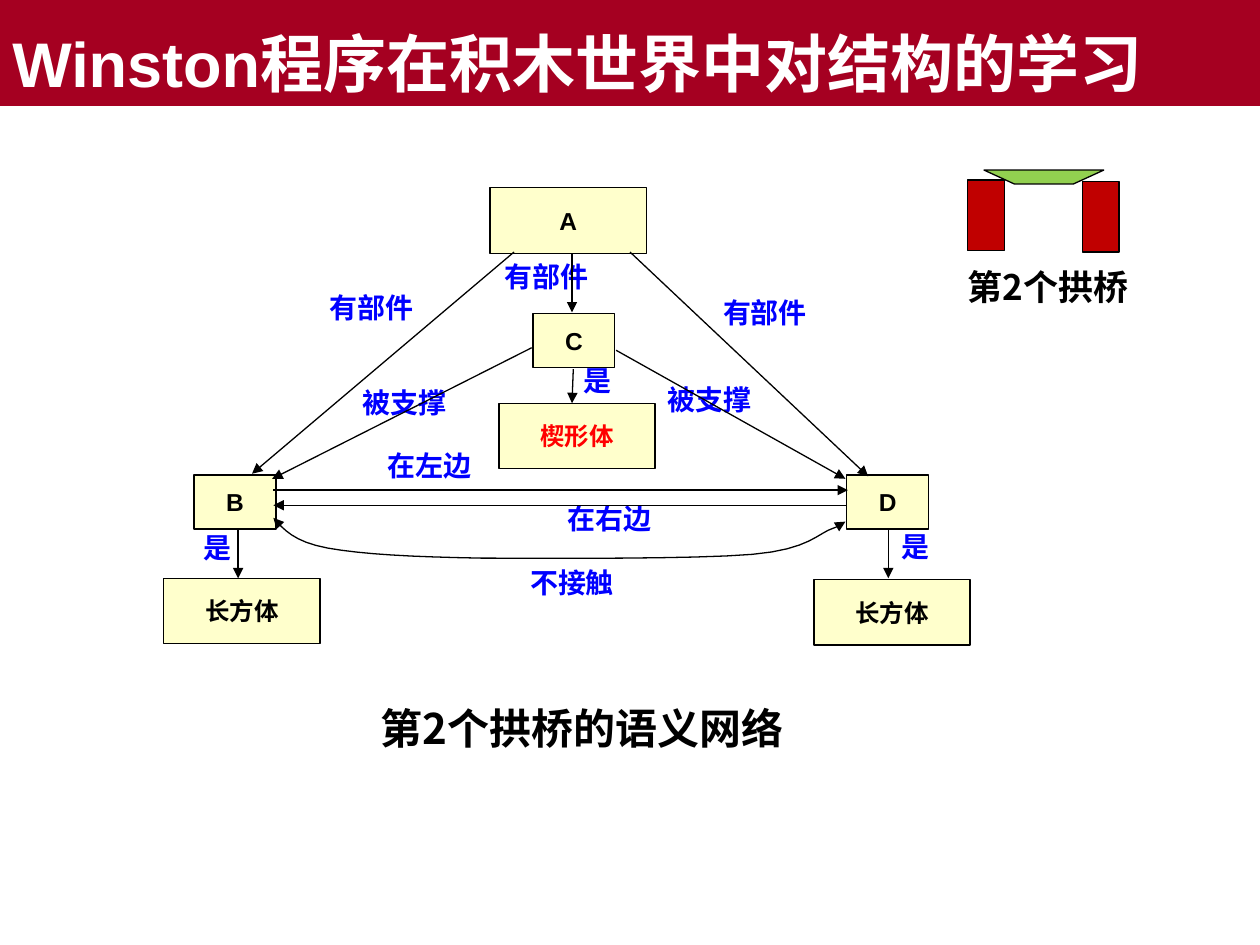
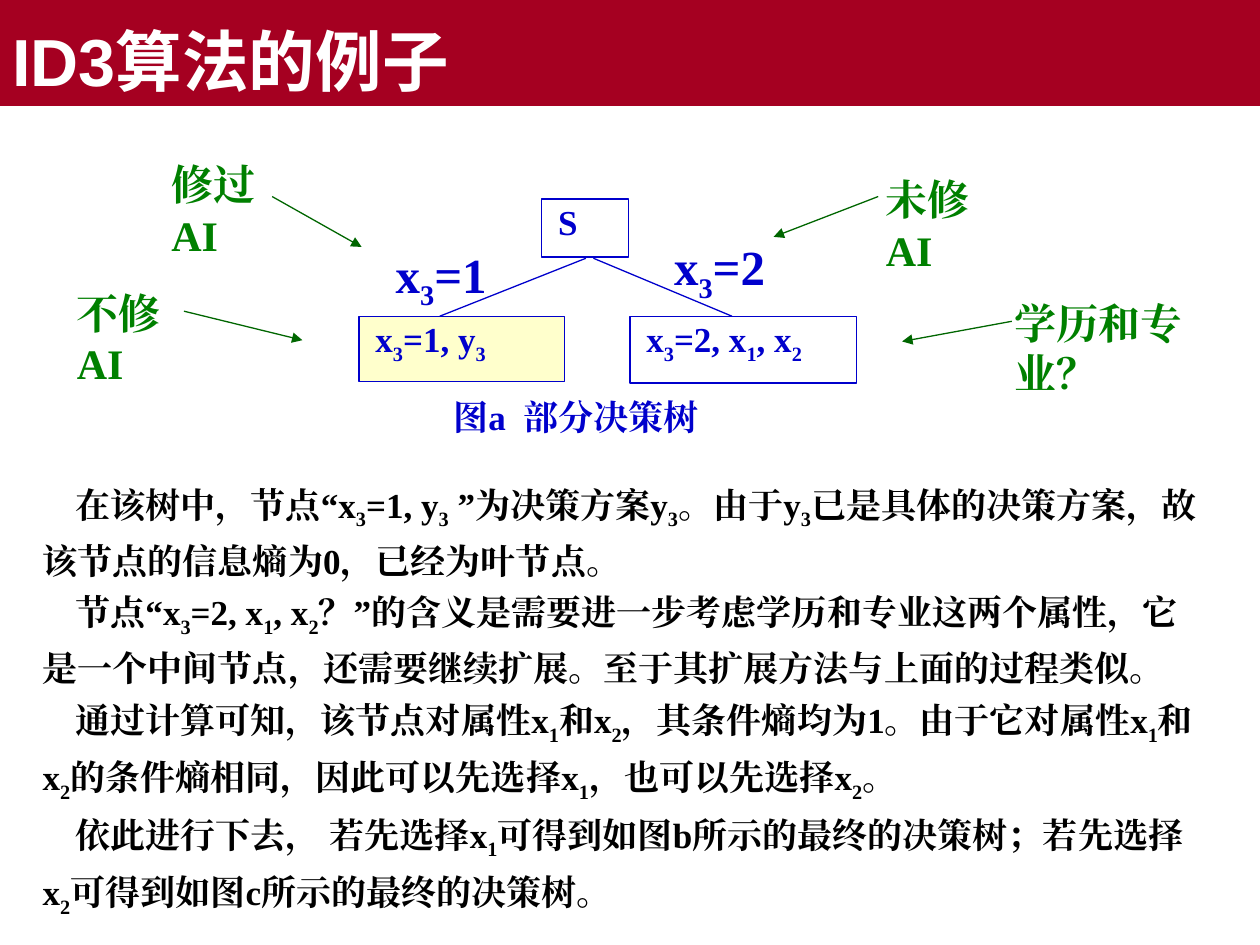
from lxml.etree import SubElement
from pptx import Presentation
from pptx.dml.color import RGBColor
from pptx.enum.shapes import MSO_CONNECTOR, MSO_SHAPE
from pptx.enum.text import MSO_ANCHOR, PP_ALIGN
from pptx.oxml.ns import qn
from pptx.util import Inches, Pt

BLACK = RGBColor(0, 0, 0)
WHITE = RGBColor(255, 255, 255)
CRIMSON = RGBColor(0xA5, 0x00, 0x21)
CREAM = RGBColor(0xFF, 0xFF, 0xCC)
RED = RGBColor(0xFF, 0, 0)
BRICK = RGBColor(0xC0, 0, 0)
LIME = RGBColor(0x92, 0xD0, 0x50)
BLUE = RGBColor(0, 0, 0xFF)
NAVY = RGBColor(0, 0, 0xCC)
GREEN = RGBColor(0, 0x80, 0)
DARK_GREEN = RGBColor(0, 0x66, 0)
SANS, SERIF, HAN = "Arial", "Times New Roman", "Noto Sans CJK SC"
LINE_WIDTH = Pt(0.75)


def outline(shape, color, ends=()):
    shape.line.color.rgb = color
    shape.line.width = LINE_WIDTH
    stroke = shape.line._get_or_add_ln()
    for end in ends:
        SubElement(stroke, qn("a:" + end)).set("type", "triangle")
    SubElement(shape._element.spPr, qn("a:effectLst"))


def add_box(page, place, text, font, size, color, fill=None, line=None, align=PP_ALIGN.LEFT,
            anchor=MSO_ANCHOR.TOP, inset=(0.1, 0.05)):
    box = page.shapes.add_shape(MSO_SHAPE.RECTANGLE, *map(Inches, place))
    box.shadow.inherit = False
    if fill is None:
        box.fill.background()
    else:
        box.fill.solid()
        box.fill.fore_color.rgb = fill
    if line is None:
        box.line.fill.background()
    else:
        box.line.color.rgb = line
        box.line.width = LINE_WIDTH
    frame = box.text_frame
    frame.word_wrap = True
    frame.vertical_anchor = anchor
    frame.margin_left = frame.margin_right = Inches(inset[0])
    frame.margin_top = frame.margin_bottom = Inches(inset[1])
    for index, content in enumerate(text.split("\n")):
        para = frame.add_paragraph() if index else frame.paragraphs[0]
        para.alignment = align
        plain, *marked = content.split("_")
        pieces = [(plain, False)]
        for part in marked:
            pieces += [(part[0], True), (part[1:], False)]
        for piece, lowered in pieces:
            if not piece:
                continue
            span = para.add_run()
            span.text = piece
            span.font.size = Pt(size)
            span.font.bold = True
            span.font.name = font
            span.font.color.rgb = color
            properties = span._r.get_or_add_rPr()
            SubElement(properties, qn("a:ea")).set("typeface", font)
            if lowered:
                properties.set("baseline", "-25000")
    return box


deck = Presentation()
deck.slide_width, deck.slide_height = Inches(10), Inches(7.5)
pages = []
for title, size in (("Winston程序在积木世界中对结构的学习", 36), ("ID3算法的例子", 38)):
    page = deck.slides.add_slide(deck.slide_layouts[6])
    add_box(page, (0, 0, 10, 0.84), title, SANS, size, WHITE, CRIMSON, anchor=MSO_ANCHOR.BOTTOM)
    pages.append(page)
arch_page, tree_page = pages

SMALL, LARGE = (0.65, 0.43), (1.24, 0.52)
for left, top, extent, name, color in (
    (3.89, 1.49, LARGE, "A", BLACK),
    (1.54, 3.77, SMALL, "B", BLACK),
    (4.23, 2.49, SMALL, "C", BLACK),
    (6.72, 3.77, SMALL, "D", BLACK),
    (1.3, 4.59, LARGE, "长方体", BLACK),
    (6.46, 4.6, LARGE, "长方体", BLACK),
    (3.96, 3.2, LARGE, "楔形体", RED),
):
    add_box(arch_page, (left, top, *extent), name, SANS, 14, color, CREAM, BLACK,
            PP_ALIGN.CENTER, MSO_ANCHOR.MIDDLE)

TO = ("tailEnd",)
links = [(arch_page, BLACK, TO, ends) for ends in (
    (4.08, 2, 2, 3.76), (5, 2, 6.89, 3.78), (4.54, 2.02, 4.54, 2.48),
    (2.17, 3.89, 6.73, 3.89), (6.72, 4.01, 2.17, 4.01),
    (4.22, 2.76, 2.16, 3.8), (4.89, 2.78, 6.71, 3.8),
    (4.55, 2.93, 4.54, 3.2), (1.89, 4.21, 1.89, 4.59), (7.05, 4.21, 7.05, 4.59),
)]
links += [(tree_page, NAVY, (), ends) for ends in (
    (4.65, 2.05, 3.49, 2.51), (4.71, 2.05, 5.81, 2.51),
)]
links += [(tree_page, DARK_GREEN, TO, ends) for ends in (
    (2.16, 1.56, 2.87, 1.96), (1.46, 2.47, 2.4, 2.7),
    (6.97, 1.56, 6.14, 1.88), (8.03, 2.55, 7.16, 2.71),
)]

curve = [(2.17, 4.11)]
for controls in (
    ((2.25, 4.2), (2.33, 4.3), (2.6, 4.35)),
    ((2.88, 4.4), (3.26, 4.42), (3.82, 4.43)),
    ((4.39, 4.43), (5.5, 4.44), (5.97, 4.4)),
    ((6.43, 4.36), (6.49, 4.23), (6.62, 4.19)),
    ((6.65, 4.18), (6.68, 4.16), (6.71, 4.14)),
):
    knots = (curve[-1], *controls)
    for step in range(1, 9):
        t = step / 8
        weights = ((1 - t) ** 3, 3 * t * (1 - t) ** 2, 3 * t * t * (1 - t), t ** 3)
        curve.append(tuple(sum(w * knot[axis] for w, knot in zip(weights, knots)) for axis in (0, 1)))
bridge_top = [(7.81, 1.35), (8.76, 1.35), (8.52, 1.46), (8.05, 1.46)]

for left, top in ((7.68, 1.43), (8.59, 1.44)):
    add_box(arch_page, (left, top, 0.29, 0.56), "", SANS, 14, BLACK, BRICK, BLACK)
for points, closed, ends in ((curve, False, ("headEnd", "tailEnd")), (bridge_top, True, ())):
    start, *rest = [(Inches(x), Inches(y)) for x, y in points]
    builder = arch_page.shapes.build_freeform(*start)
    builder.add_line_segments(rest, close=closed)
    shape = builder.convert_to_shape()
    if closed:
        shape.fill.solid()
        shape.fill.fore_color.rgb = LIME
    else:
        shape.fill.background()
    outline(shape, BLACK, ends)

for left, top, label in (
    (2.52, 2.26, "有部件"), (5.64, 2.3, "有部件"), (3.91, 2.01, "有部件"),
    (2.78, 3.01, "被支撑"), (5.2, 2.99, "被支撑"), (2.98, 3.51, "在左边"),
    (4.41, 3.93, "在右边"), (4.11, 4.44, "不接触"),
    (1.4, 4.16, "是"), (6.94, 4.15, "是"), (4.42, 2.84, "是"),
):
    width, align = (0.65, PP_ALIGN.CENTER) if label == "是" else (0.97, PP_ALIGN.LEFT)
    add_box(arch_page, (left, top, width, 0.37), label, SANS, 16, BLUE, align=align)
for place, caption, size in (
    ((7.35, 2.06, 1.94, 0.44), "第2个拱桥", 20),
    ((1.92, 5.53, 5.4, 0.5), "第2个拱桥的语义网络", 24),
):
    add_box(arch_page, place, caption, HAN, size, BLACK, align=PP_ALIGN.CENTER)

body = add_box(
    tree_page, (0.24, 3.71, 9.41, 4.03),
    "在该树中，节点“x_3=1, y_3 ”为决策方案y_3。由于y_3已是具体的决策方案，故该节点的信息熵为0，已经为叶节点。\n"
    "节点“x_3=2, x_1, x_2？”的含义是需要进一步考虑学历和专业这两个属性，"
    "它是一个中间节点，还需要继续扩展。至于其扩展方法与上面的过程类似。\n"
    "通过计算可知，该节点对属性x_1和x_2，其条件熵均为1。由于它对属性x_1和x_2的条件熵相同，"
    "因此可以先选择x_1，也可以先选择x_2。\n"
    "依此进行下去， 若先选择x_1可得到如图b所示的最终的决策树；若先选择x_2可得到如图c所示的最终的决策树。",
    SERIF, 20, BLACK)
for para in body.text_frame.paragraphs:
    para.line_spacing = 1.2
    para._p.get_or_add_pPr().set("indent", str(Inches(0.26)))

for place, text, fill in (
    ((4.3, 1.58, 0.69, 0.46), "S", WHITE),
    ((2.85, 2.51, 1.63, 0.52), "x_3=1, y_3", CREAM),
    ((5, 2.51, 1.8, 0.53), "x_3=2, x_1, x_2", WHITE),
):
    add_box(tree_page, place, text, SERIF, 20, NAVY, fill, NAVY, inset=(0.13, 0.01))
add_box(tree_page, (3.5, 3.09, 2.73, 0.58), "图a\u2002部分决策树", SERIF, 20, NAVY, WHITE)
for place, text in (((3.08, 1.93, 0.95, 0.41), "x_3=1"), ((5.29, 1.87, 0.95, 0.46), "x_3=2")):
    add_box(tree_page, place, text, SERIF, 28, NAVY, inset=(0.06, 0.01))
for left, top, width, note in (
    (1.34, 1.25, 0.91, "修过AI"), (0.59, 2.27, 0.83, "不修AI"),
    (7.01, 1.37, 0.91, "未修AI"), (8.03, 2.35, 1.61, "学历和专业？"),
):
    add_box(tree_page, (left, top, width, 0.82), note, SERIF, 24, GREEN, WHITE, inset=(0.02, 0.01))

for page, color, heads, ends in links:
    link = page.shapes.add_connector(MSO_CONNECTOR.STRAIGHT, *map(Inches, ends))
    outline(link, color, heads)

deck.save("out.pptx")
